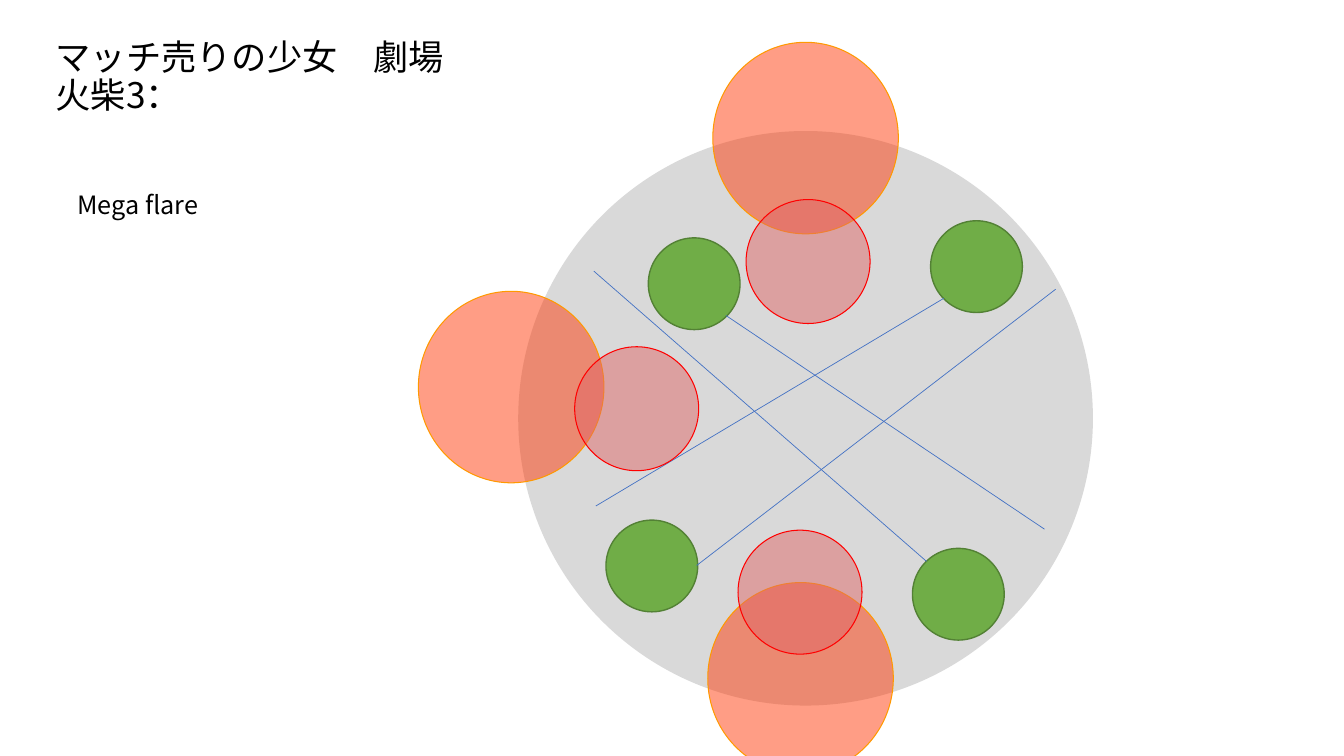
"""Build the arena slide for the third match: Mega flare."""
from pptx import Presentation
from pptx.dml.color import RGBColor
from pptx.enum.shapes import MSO_CONNECTOR, MSO_SHAPE
from pptx.enum.text import MSO_ANCHOR, MSO_AUTO_SIZE, PP_ALIGN
from pptx.oxml.ns import qn
from pptx.util import Pt
from lxml.etree import SubElement

PX = 9144
FONT = "Noto Sans CJK SC"
BLACK = RGBColor(0x00, 0x00, 0x00)
GREY = RGBColor(0xD9, 0xD9, 0xD9)
GREEN = RGBColor(0x70, 0xAD, 0x47)
DARK_GREEN = RGBColor(0x53, 0x81, 0x35)
BLUE = RGBColor(0x44, 0x72, 0xC4)
FLAME = RGBColor(0xFF, 0x33, 0x00)
ORANGE = RGBColor(0xFF, 0x99, 0x00)
ROSE = RGBColor(0xE0, 0x66, 0x66)
RED = RGBColor(0xFF, 0x00, 0x00)


def add_circle(x, y, w, h, fill, line=None, weight=1, opacity=100):
    s = slide.shapes.add_shape(MSO_SHAPE.OVAL, x * PX, y * PX, w * PX, h * PX)
    s.shadow.inherit = False
    s.fill.solid()
    s.fill.fore_color.rgb = fill
    if opacity < 100:
        color = s._element.spPr.find(qn("a:solidFill"))[0]
        SubElement(color, qn("a:alpha"), val=str(opacity * 1000))
    if line is None:
        s.line.fill.background()
    else:
        s.line.color.rgb = line
        s.line.width = Pt(weight)


def write_text(tf, text, size):
    tf.word_wrap = True
    tf.vertical_anchor = MSO_ANCHOR.TOP
    p = tf.paragraphs[0]
    p.text = text
    p.alignment = PP_ALIGN.LEFT
    for r in p.runs:
        for name, value in {"name": FONT, "size": Pt(size)}.items():
            setattr(r.font, name, value)
        r.font.color.rgb = BLACK
        SubElement(r._r.get_or_add_rPr(), qn("a:ea"), typeface=FONT)
    return p


prs = Presentation()
prs.slide_width, prs.slide_height = 1333 * PX, 750 * PX
slide = prs.slides.add_slide(prs.slide_layouts[5])

title = slide.shapes.title
box = {"left": 45, "top": 30, "width": 1242, "height": 84}
for name, value in box.items():
    setattr(title, name, value * PX)
tf = title.text_frame
for side in ("left", "top", "right", "bottom"):
    setattr(tf, f"margin_{side}", 10 * PX)
tf.auto_size = MSO_AUTO_SIZE.NONE
p = write_text(tf, "マッチ売りの少女　劇場\v火柴3：", 25.2)
p.line_spacing = 0.9

add_circle(514, 130, 570, 570, GREY)

sp = slide.shapes.add_textbox(67 * PX, 183 * PX, 365 * PX, 101 * PX)
write_text(sp.text_frame, "Mega flare", 18)

for x, y in [(601, 516), (905, 544), (923, 219), (643, 236)]:
    add_circle(x, y, 91, 91, GREEN, DARK_GREEN)

for ends in [(691, 561, 1047, 287), (919, 557, 589, 269),
             (1036, 525, 720, 313), (936, 296, 591, 502)]:
    beam = slide.shapes.add_connector(MSO_CONNECTOR.STRAIGHT, *(v * PX for v in ends))
    beam.line.color.rgb = BLUE
    beam.line.width = Pt(0.5)
    SubElement(beam._element.spPr, qn("a:effectLst"))

for x, y in [(707, 42), (415, 289), (702, 578)]:
    add_circle(x, y, 184, 190, FLAME, ORANGE, 0.75, 48)

for x, y in [(740, 198), (570, 344), (732, 526)]:
    add_circle(x, y, 123, 123, ROSE, RED, 0.75, 49)

prs.save("out.pptx")
